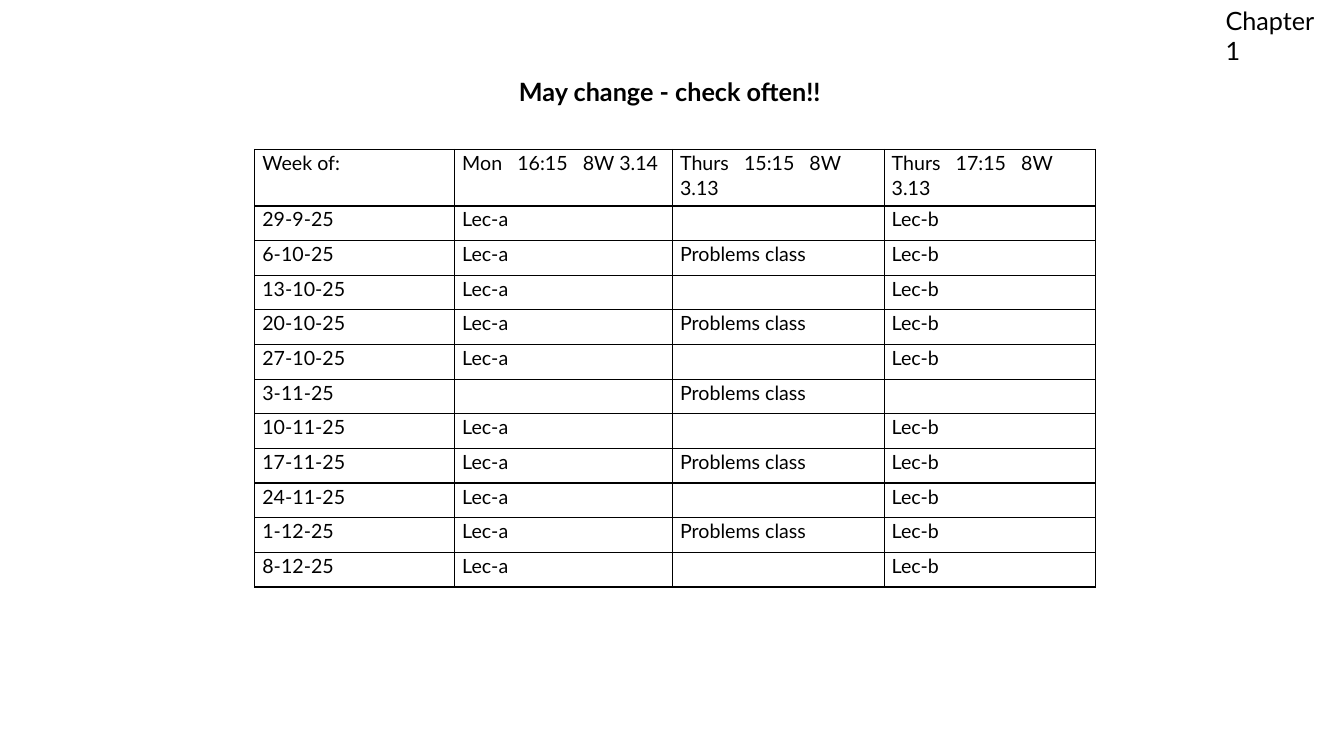
"""Build the timetable slide with its weekly lectures and problems classes."""
from lxml import etree
from pptx import Presentation
from pptx.dml.color import RGBColor
from pptx.enum.text import MSO_ANCHOR, MSO_AUTO_SIZE
from pptx.oxml import parse_xml
from pptx.oxml.ns import nsdecls
from pptx.util import Pt

TOP = MSO_ANCHOR.TOP
GROW = MSO_AUTO_SIZE.SHAPE_TO_FIT_TEXT
FONT = "Lato"
BLACK = "000000"
BORDER_SIDES = ("lnL", "lnR", "lnT", "lnB")

HEADERS = ["Week of:", "Mon   16:15   8W 3.14", "Thurs   15:15   8W 3.13", "Thurs   17:15   8W 3.13"]
WEEKS = ["29-9-25", "6-10-25", "13-10-25", "20-10-25", "27-10-25", "3-11-25",
         "10-11-25", "17-11-25", "24-11-25", "1-12-25", "8-12-25"]
WEEK_WITHOUT_LECTURES = "3-11-25"
COLUMN_WIDTHS = [142.8, 155.6, 151.2, 150.8]
HEADER_HEIGHT = 40.3
WEEK_HEIGHT = 24.75


def color(value):
    return RGBColor.from_string(value)


def add_run(paragraph, text, size, bold=False):
    run = paragraph.add_run()
    run.text = text
    run.font.name = FONT
    run.font.size = Pt(size)
    run.font.bold = bold
    run.font.color.rgb = color(BLACK)


presentation = Presentation()
presentation.slide_width = Pt(960)
presentation.slide_height = Pt(540)
slide = presentation.slides.add_slide(presentation.slide_layouts[6])

rows = [HEADERS]
for number, week in enumerate(WEEKS):
    has_lectures = week != WEEK_WITHOUT_LECTURES
    rows.append([
        week,
        "Lec-a" if has_lectures else "",
        "Problems class" if number % 2 else "",
        "Lec-b" if has_lectures else "",
    ])

table_height = HEADER_HEIGHT + WEEK_HEIGHT * len(WEEKS)
table = slide.shapes.add_table(
    len(rows), len(HEADERS), Pt(182), Pt(106.8), Pt(sum(COLUMN_WIDTHS)), Pt(table_height)).table
table.first_row = False
table.horz_banding = False
for column, width in zip(table.columns, COLUMN_WIDTHS):
    column.width = Pt(width)

for row_number, texts in enumerate(rows):
    table.rows[row_number].height = Pt(WEEK_HEIGHT if row_number else HEADER_HEIGHT)
    for column_number, text in enumerate(texts):
        cell = table.cell(row_number, column_number)
        cell.margin_left = cell.margin_right = Pt(5.4)
        cell.margin_top = cell.margin_bottom = Pt(0)
        cell.vertical_anchor = TOP
        cell.fill.background()
        properties = cell._tc.get_or_add_tcPr()
        for position, side in enumerate(BORDER_SIDES):
            border = parse_xml(f'<a:{side} {nsdecls("a")} w="{Pt(1)}"/>')
            fill = etree.SubElement(border, "{%s}solidFill" % border.nsmap["a"])
            etree.SubElement(fill, "{%s}srgbClr" % border.nsmap["a"], val=BLACK)
            properties.insert(position, border)
        paragraph = cell.text_frame.paragraphs[0]
        paragraph.line_spacing = 1.07
        paragraph.space_after = Pt(8)
        if text:
            add_run(paragraph, text, 14)
        else:
            paragraph.font.size = Pt(14)

for text, left, top, width, bold, right_margin in (
    ("May change - check often!!", 363.6, 51.1, 234, True, 7.2),
    ("Chapter 1", 868.3, 0, 92, False, 14),
):
    text_frame = slide.shapes.add_textbox(Pt(left), Pt(top), Pt(width), Pt(28.8)).text_frame
    text_frame.word_wrap = True
    text_frame.auto_size = GROW
    text_frame.margin_right = Pt(right_margin)
    add_run(text_frame.paragraphs[0], text, 18, bold)

presentation.save("out.pptx")
